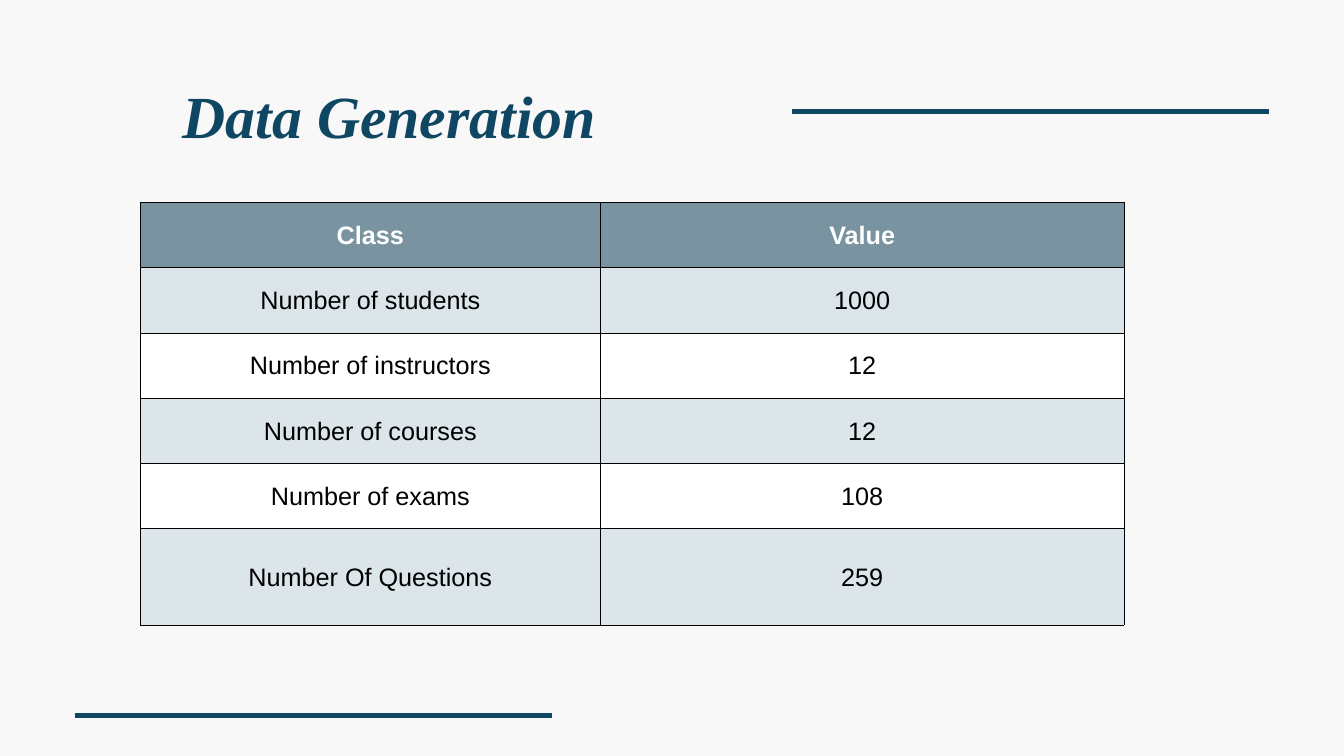
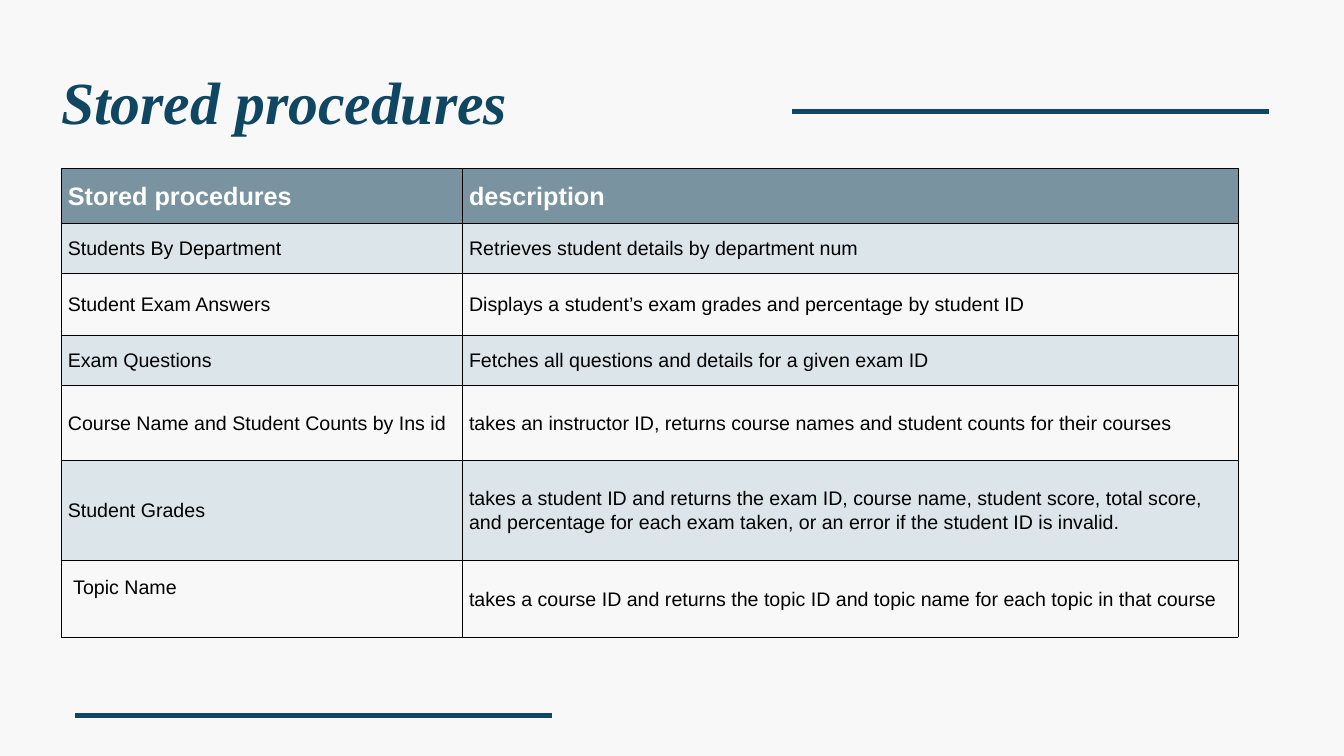
from lxml import etree
from pptx import Presentation
from pptx.dml.color import RGBColor
from pptx.enum.shapes import MSO_CONNECTOR
from pptx.enum.text import MSO_ANCHOR, MSO_AUTO_SIZE, PP_ALIGN
from pptx.oxml.ns import qn
from pptx.util import Inches, Pt

LEFT, CENTER = PP_ALIGN.LEFT, PP_ALIGN.CENTER
TOP, MIDDLE = MSO_ANCHOR.TOP, MSO_ANCHOR.MIDDLE
STRAIGHT, NO_FIT = MSO_CONNECTOR.STRAIGHT, MSO_AUTO_SIZE.NONE

NAVY, SLATE, MIST = "0F4662", "7994A0", "DBE5EA"
PAPER, WHITE, BLACK = "F8F8F8", "FFFFFF", "000000"
SIDES = ("lnL", "lnR", "lnT", "lnB")
MARGINS = ("margin_left", "margin_right", "margin_top", "margin_bottom")

TITLE = {"name": "Times New Roman", "size": Pt(64), "bold": True, "italic": True}
HEAD = {"name": "Arial", "size": Pt(27), "bold": True}
RULES = [(5.6, 41.1, 94.67), (58.9, 94.4, 14.76)]

SLIDES = [
    {
        "title": "Data Generation", "title_at": (13.6, 8.89),
        "table_at": (10.45, 26.76), "cols": [34.2, 39], "rows": [8.62] * 5 + [12.8],
        "align": CENTER, "size": 27, "plain": WHITE,
        "cells": [
            ("Class", "Value"),
            ("Number of students", "1000"),
            ("Number of instructors", "12"),
            ("Number of courses", "12"),
            ("Number of exams", "108"),
            ("Number Of Questions", "259"),
        ],
    },
    {
        "title": "Stored procedures", "title_at": (4.55, 7.02),
        "table_at": (4.55, 22.22), "cols": [29.85, 57.7],
        "rows": [7.29, 6.58, 8.27, 6.58, 9.87, 13.24, 10.22],
        "align": LEFT, "size": 21, "plain": None,
        "cells": [
            ("Stored procedures", "description"),
            ("Students By Department", "Retrieves student details by department num"),
            ("Student Exam Answers",
             "Displays a student’s exam grades and percentage by student ID"),
            ("Exam Questions", "Fetches all questions and details for a given exam ID"),
            ("Course Name and Student Counts by Ins id",
             "takes an instructor ID, returns course names and student counts "
             "for their courses"),
            ("Student Grades",
             "takes a student ID and returns the exam ID, course name, student score, "
             "total score, and percentage for each exam taken, or an error if the "
             "student ID is invalid."),
            ("Topic Name",
             "takes a course ID and returns the topic ID and topic name for each topic "
             "in that course"),
        ],
    },
]


def rgb(value):
    return RGBColor.from_string(value)


def write(tf, text, style, color, align, spacing):
    tf.text = text
    p = tf.paragraphs[0]
    p.alignment = align
    p.line_spacing = Pt(style["size"].pt * spacing)
    p.space_before = Pt(0)
    font = p.runs[0].font
    for key, value in style.items():
        setattr(font, key, value)
    font.color.rgb = rgb(color)


prs = Presentation()
prs.slide_width, prs.slide_height = Inches(20), Inches(11.25)
W, H = prs.slide_width / 100, prs.slide_height / 100
bg = prs.slide_master.background.fill
bg.solid()
bg.fore_color.rgb = rgb(PAPER)

for page in SLIDES:
    s = prs.slides.add_slide(prs.slide_layouts[5])

    sp = s.shapes.title
    x, y = page["title_at"]
    sp.left, sp.top = int(x * W), int(y * H)
    sp.width, sp.height = int(51.85 * W), int(10.58 * H)
    tf = sp.text_frame
    tf.word_wrap, tf.auto_size, tf.vertical_anchor = True, NO_FIT, TOP
    for margin in MARGINS:
        setattr(tf, margin, 0)
    write(tf, page["title"], TITLE, NAVY, LEFT, 1.4)

    for start, end, y in RULES:
        rule = s.shapes.add_connector(
            STRAIGHT, int(start * W), int(y * H), int(end * W), int(y * H))
        rule.line.color.rgb = rgb(NAVY)
        rule.line.width = Pt(6)
        etree.SubElement(rule._element.spPr, qn("a:effectLst"))

    x, y = page["table_at"]
    cols, rows = page["cols"], page["rows"]
    table = s.shapes.add_table(
        len(rows), len(cols), int(x * W), int(y * H),
        int(sum(cols) * W), int(sum(rows) * H)).table
    table.horz_banding = False
    for column, share in zip(table.columns, cols):
        column.width = int(share * W)
    for row, share in zip(table.rows, rows):
        row.height = int(share * H)

    body = {"name": "Arial", "size": Pt(page["size"]), "bold": False}
    for i, texts in enumerate(page["cells"]):
        style, color = (body, BLACK) if i else (HEAD, WHITE)
        fill = SLATE if i == 0 else MIST if i % 2 else page["plain"]
        for j, text in enumerate(texts):
            cell = table.cell(i, j)
            cell.vertical_anchor = MIDDLE
            for margin in MARGINS:
                setattr(cell, margin, Inches(0.1))
            if text == "Topic Name":
                cell.margin_left, cell.margin_bottom = Inches(0.18), Inches(0.43)
            tcPr = cell._tc.get_or_add_tcPr()
            for side in SIDES:
                ln = etree.SubElement(tcPr, qn(f"a:{side}"), w=str(Pt(0.37)))
                solid = etree.SubElement(ln, qn("a:solidFill"))
                etree.SubElement(solid, qn("a:srgbClr"), val=BLACK)
            if fill:
                cell.fill.solid()
                cell.fill.fore_color.rgb = rgb(fill)
            else:
                cell.fill.background()
            write(cell.text_frame, text, style, color, page["align"], 1.2)

prs.save("out.pptx")
